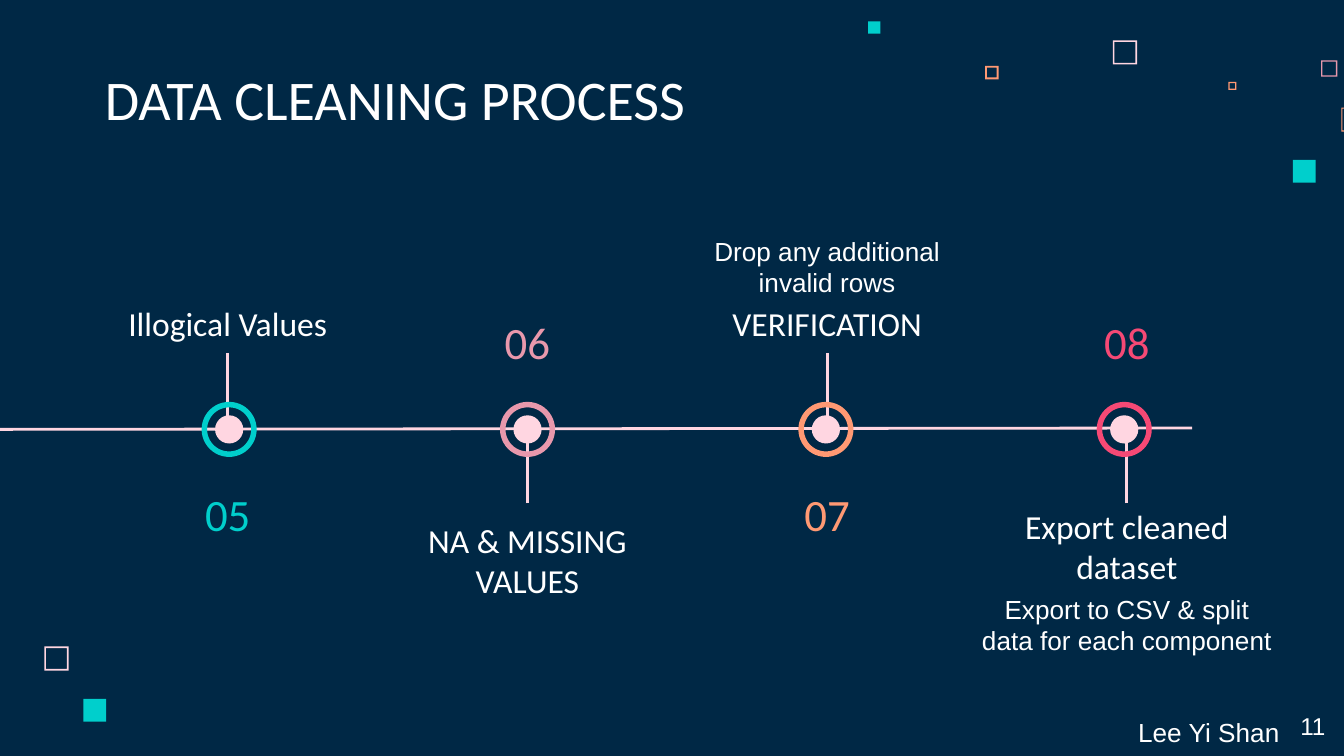
import pptx
import pptx.util
from dataclasses import dataclass
from lxml import etree
from pptx.dml.color import RGBColor
from pptx.enum.shapes import MSO_CONNECTOR, MSO_SHAPE
from pptx.enum.text import MSO_ANCHOR, MSO_AUTO_SIZE, PP_ALIGN
from pptx.oxml.ns import qn

inch, pt = pptx.util.Inches, pptx.util.Pt
TOP, MIDDLE, BOTTOM = MSO_ANCHOR.TOP, MSO_ANCHOR.MIDDLE, MSO_ANCHOR.BOTTOM


@dataclass(frozen=True)
class Theme:
    navy: str = "002845"
    white: str = "FFFFFF"
    blush: str = "FFD6E1"
    teal: str = "00CFCC"
    rose: str = "E898AC"
    orange: str = "FF9973"
    red: str = "F64975"
    head: str = "Calibri"
    body: str = "Arial"
    title: int = 30
    number: int = 24
    label: int = 18
    detail: int = 14
    page: int = 13
    line: float = 1.5


T = Theme()
W = 10
H = W * 9 / 16

# left, top, side, colour, border share (0 for a solid square)
SQUARES = [
    (8.28, 0.30, 0.18, T.blush, 0.07), (9.83, 0.45, 0.12, T.rose, 0.08),
    (9.14, 0.61, 0.06, T.orange, 0.17), (9.98, 0.80, 0.18, T.orange, 0.05),
    (9.62, 1.19, 0.17, T.teal, 0), (7.33, 0.49, 0.10, T.orange, 0.14),
    (6.46, 0.16, 0.09, T.teal, 0), (0.33, 4.81, 0.18, T.blush, 0.07),
    (0.62, 5.20, 0.17, T.teal, 0),
]

# number, colour, label, label above the axis, label height, detail, detail width
STEPS = [
    ("05", T.teal, "Illogical Values", True, 0.47, None, 0),
    ("06", T.rose, "NA & MISSING VALUES", False, 0.81, None, 0),
    ("07", T.orange, "VERIFICATION", True, 0.47, "Drop any additional invalid rows", 2.06),
    ("08", T.red, "Export cleaned dataset", False, 0.71,
     "Export to CSV & split data for each component", 2.4),
]


def add_preset(s, kind, box, color, adj=None):
    sp = s.shapes.add_shape(kind, *map(inch, box))
    sp.shadow.inherit = False
    sp.fill.solid()
    sp.fill.fore_color.rgb = RGBColor.from_string(color)
    sp.line.fill.background()
    if adj:
        sp.adjustments[0] = adj


def add_line(s, x1, y1, x2, y2):
    line = s.shapes.add_connector(MSO_CONNECTOR.STRAIGHT, *map(inch, (x1, y1, x2, y2)))
    line.line.color.rgb = RGBColor.from_string(T.blush)
    line.line.width = pt(T.line)
    etree.SubElement(line._element.spPr, qn("a:effectLst"))


def set_text(sp, text, size, font, color=T.white, align=PP_ALIGN.CENTER, anchor=TOP):
    tf = sp.text_frame
    tf.text = text
    tf.word_wrap = True
    tf.auto_size = MSO_AUTO_SIZE.NONE
    tf.vertical_anchor = anchor
    tf.margin_left = tf.margin_right = tf.margin_top = tf.margin_bottom = inch(0.1)
    p = tf.paragraphs[0]
    p.alignment = align
    p.font.size = pt(size)
    p.font.name = font
    p.font.color.rgb = RGBColor.from_string(color)
    return p


def add_text(s, box, *args, **kwargs):
    return set_text(s.shapes.add_textbox(*map(inch, box)), *args, **kwargs)


def add_squares(s):
    for x, y, side, color, border in SQUARES:
        kind = MSO_SHAPE.FRAME if border else MSO_SHAPE.RECTANGLE
        add_preset(s, kind, (x, y, side, side), color, border)


def add_title(s, x, y, w, h):
    sp = s.shapes.title
    sp.left, sp.top, sp.width, sp.height = map(inch, (x, y, w, h))
    set_text(sp, "DATA CLEANING PROCESS", T.title, T.head, align=PP_ALIGN.LEFT, anchor=BOTTOM)


def add_step(s, cx, axis, step):
    """Stem, number, label and detail of one column, measured from the axis."""
    number, color, label, above, label_h, detail, detail_w = step
    stem, number_y, label_y, detail_y = (
        (-0.57, 0.39, -1.04, -1.59) if above else (0.55, -0.89, 0.56, 1.12))
    add_line(s, cx, axis + stem, cx, axis + stem / 9)
    add_text(s, (cx - 0.7, axis + number_y, 1.4, 0.47), number, T.number, T.head,
             color, anchor=MIDDLE)
    add_text(s, (cx - 1.03, axis + label_y, 2.06, label_h), label, T.label, T.head,
             anchor=TOP if above else BOTTOM)
    if detail:
        add_text(s, (cx - detail_w / 2, axis + detail_y, detail_w, 0.71), detail,
                 T.detail, T.body, anchor=BOTTOM if above else TOP)


def add_marker(s, cx, cy, color):
    for kind, d, fill, adj in ((MSO_SHAPE.OVAL, 0.21, T.blush, None),
                               (MSO_SHAPE.DONUT, 0.41, color, 0.1)):
        add_preset(s, kind, (cx - d / 2, cy - d / 2, d, d), fill, adj)


def add_timeline(s, x, y, w, h):
    column = w / len(STEPS)
    first, axis = x + column / 2, y + h / 2
    for i, step in enumerate(STEPS):
        add_step(s, first + i * column, axis, step)
    add_line(s, -0.09, axis, x + w - 0.63, axis - 0.01)
    # Markers sit on a slightly tighter pitch than the text columns
    for i, step in enumerate(STEPS):
        add_marker(s, first + 0.01 + i * (column - 0.01), axis, step[1])


def add_footer(s, x, y, w, h):
    p = add_text(s, (x, y, 0.8 * w, h), "Lee Yi Shan", T.detail, T.body, align=PP_ALIGN.LEFT)
    p.line_spacing = 1.15
    add_text(s, (x + 0.62 * w, y, 0.38 * w, h), "11", T.page, T.body, align=PP_ALIGN.RIGHT)


def main():
    prs = pptx.Presentation()
    prs.slide_width, prs.slide_height = inch(W), inch(H)
    s = prs.slides.add_slide(prs.slide_layouts[5])
    s.background.fill.solid()
    s.background.fill.fore_color.rgb = RGBColor.from_string(T.navy)
    add_squares(s)
    add_title(s, 0.68, 0.08 * H, 5.17, 0.63)
    add_timeline(s, 0.58, 1.36, 8.92, 3.67)
    add_footer(s, 8.37, H - 0.43, 1.59, 0.43)
    prs.save("out.pptx")


if __name__ == "__main__":
    main()
